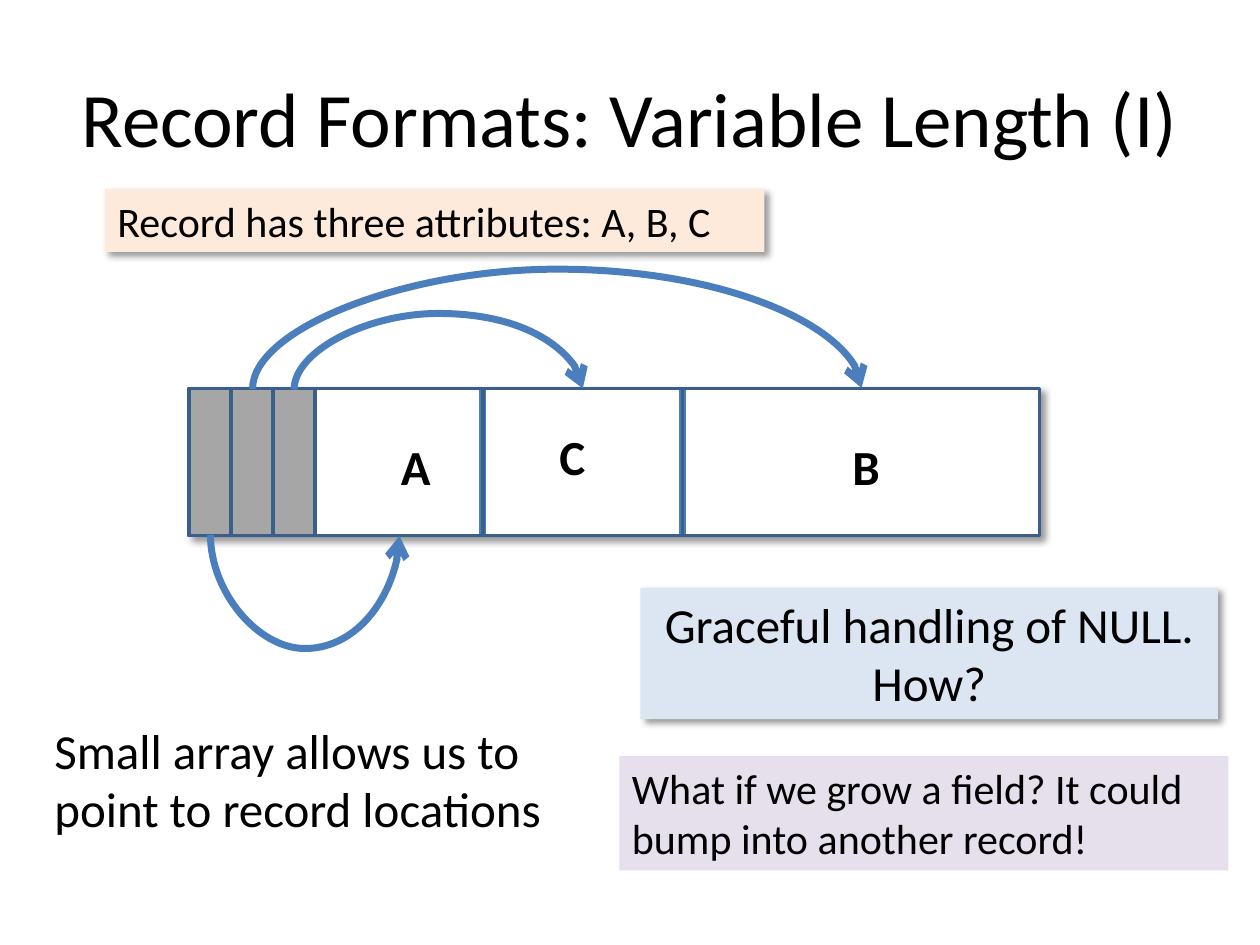
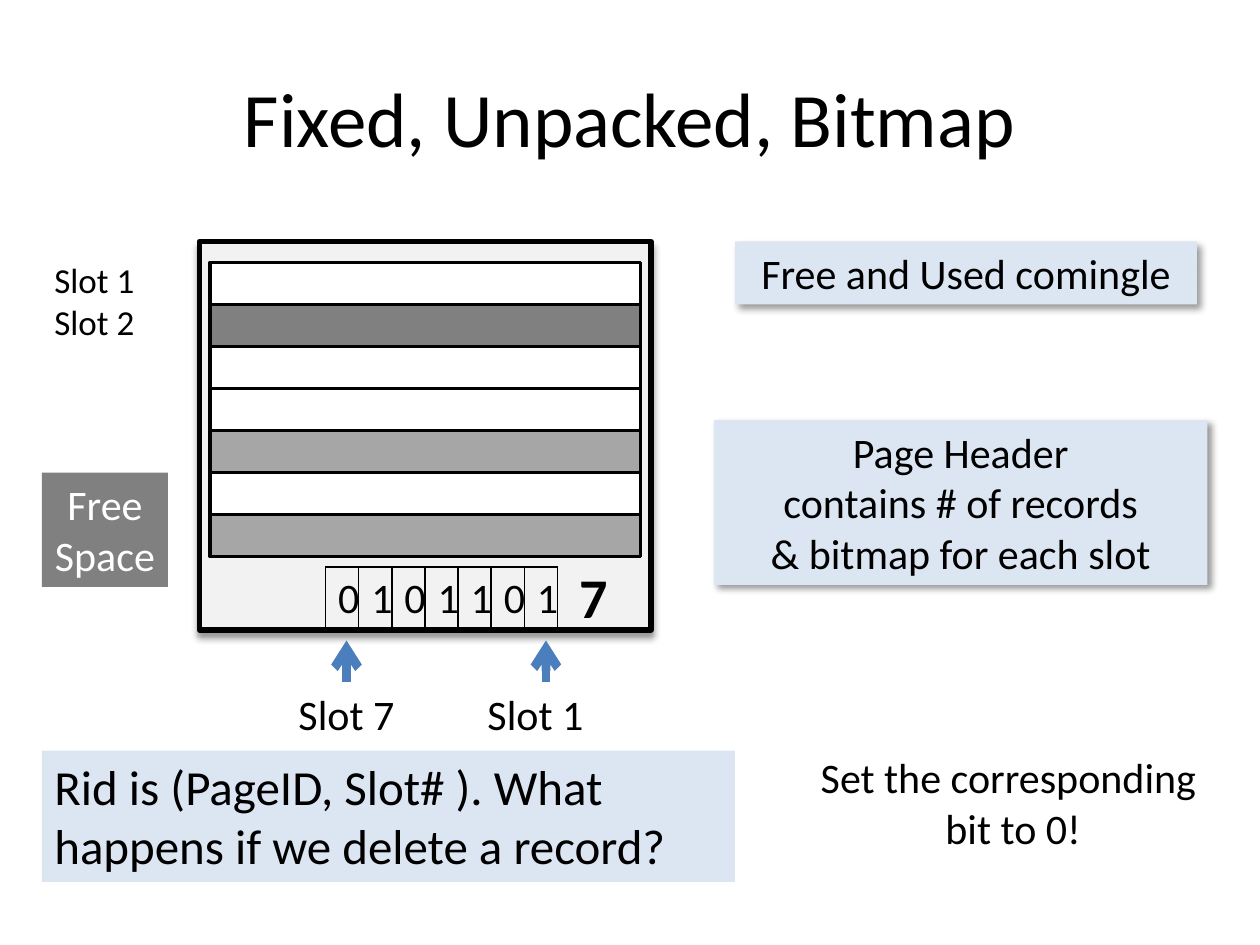
from dataclasses import dataclass
from itertools import accumulate

from lxml.etree import SubElement
from pptx import Presentation
from pptx.dml.color import RGBColor
from pptx.enum.shapes import MSO_CONNECTOR as Link, MSO_SHAPE as Kind
from pptx.enum.text import MSO_ANCHOR as Anchor, MSO_AUTO_SIZE as Fit, PP_ALIGN as Align
from pptx.oxml.ns import qn
from pptx.util import Emu, Pt

SCALE = 7620  # EMU in one px, 120 px to the inch


@dataclass(frozen=True)
class Theme:
    font: str = "Calibri"
    black: str = "000000"
    white: str = "FFFFFF"
    edge: str = "3A5F8C"
    blue: str = "4B7EBC"
    gray: str = "A6A6A6"
    dark: str = "808080"
    page: str = "F2F2F2"
    sky: str = "DCE6F2"
    peach: str = "FDEADA"
    lilac: str = "E6E0EC"
    title: int = 44
    digit: int = 32
    large: int = 28
    body: int = 24
    small: int = 20


T = Theme()


@dataclass(frozen=True)
class Box:
    x: int
    y: int
    w: int
    h: int


@dataclass(frozen=True)
class Note:
    text: str
    box: Box
    size: int = T.body
    fill: str | None = None
    ink: str = T.black
    bold: bool = False
    mid: bool = True
    cast: bool = False


@dataclass(frozen=True)
class Arc:
    start: int
    end: int
    y: int
    bulge: int
    down: bool = False


def px(n: int) -> Emu:
    return Emu(n * SCALE)


def area(box: Box) -> tuple:
    return px(box.x), px(box.y), px(box.w), px(box.h)


def rgb(code: str) -> RGBColor:
    return RGBColor.from_string(code)


# Text
def write(frame, text: str, *, size: int = T.body, ink: str = T.black,
          bold: bool = False, mid: bool = True, anchor=Anchor.TOP) -> None:
    frame.word_wrap = True
    frame.vertical_anchor = anchor
    for i, line in enumerate(text.split("\n")):
        para = frame.paragraphs[0] if i == 0 else frame.add_paragraph()
        para.alignment = Align.CENTER if mid else Align.LEFT
        run = para.add_run()
        run.text = line
        font = run.font
        font.name, font.size, font.bold = T.font, Pt(size), bold
        font.color.rgb = rgb(ink)


# Shapes
def rect(slide, box: Box, fill: str | None = None, line: str | None = None,
         width: int = 2, cast: int | None = None):
    shape = slide.shapes.add_shape(Kind.RECTANGLE, *area(box))
    shape.shadow.inherit = False
    if fill:
        shape.fill.solid()
        shape.fill.fore_color.rgb = rgb(fill)
    else:
        shape.fill.background()
    if line:
        shape.line.color.rgb = rgb(line)
        shape.line.width = Pt(width)
    else:
        shape.line.fill.background()
    if cast is not None:
        effects = shape.element.spPr.find(qn("a:effectLst"))
        outer = SubElement(effects, qn("a:outerShdw"), blurRad=str(Pt(4)),
                           dist=str(Pt(3)), dir=str(cast * 60000), rotWithShape="0")
        tint = SubElement(outer, qn("a:srgbClr"), val=T.black)
        SubElement(tint, qn("a:alpha"), val="40000")
    return shape


def note(slide, item: Note):
    if item.fill:
        shape = rect(slide, item.box, item.fill, cast=45 if item.cast else None)
    else:
        shape = slide.shapes.add_textbox(*area(item.box))
    write(shape.text_frame, item.text, size=item.size, ink=item.ink,
          bold=item.bold, mid=item.mid)
    shape.text_frame.auto_size = Fit.SHAPE_TO_FIT_TEXT
    return shape


def title(slide, text: str) -> None:
    shape = slide.shapes.add_textbox(*area(Box(60, 36, 1080, 150)))
    write(shape.text_frame, text, size=T.title, anchor=Anchor.MIDDLE)


# Lines
def wire(slide, kind, x1: int, y1: int, x2: int, y2: int,
         width: int = 4, arrow: bool = False):
    line = slide.shapes.add_connector(kind, px(x1), px(y1), px(x2), px(y2))
    line.line.color.rgb = rgb(T.blue)
    line.line.width = Pt(width)
    if arrow:
        SubElement(line.line._get_or_add_ln(), qn("a:tailEnd"), type="arrow")
    SubElement(line.element.spPr, qn("a:effectLst"))
    return line


def curve(slide, arc: Arc) -> None:
    line = wire(slide, Link.CURVE, arc.start, arc.y, arc.end, arc.y, arrow=True)
    # A one px wide curve, turned on its side, bulges by a multiple of its width
    span = arc.end - arc.start
    line.left, line.top = px((arc.start + arc.end) // 2), px(arc.y - span // 2)
    line.width, line.height = px(1), px(span)
    props = line.element.spPr
    frame = props.find(qn("a:xfrm"))
    frame.set("rot", str((270 if arc.down else 90) * 60000))
    frame.set("flipH", "1")
    if not arc.down:
        frame.set("flipV", "1")
    geom = props.find(qn("a:prstGeom"))
    guides = geom.find(qn("a:avLst"))
    if guides is None:
        guides = SubElement(geom, qn("a:avLst"))
    SubElement(guides, qn("a:gd"), name="adj1", fmla=f"val {arc.bulge * 100000}")


# Table
def bits(slide, box: Box, text: str) -> None:
    table = slide.shapes.add_table(1, len(text), *area(box)).table
    table.first_row = table.horz_banding = False
    for cell, bit in zip(table.iter_cells(), text):
        write(cell.text_frame, bit)
        cell.fill.background()
        props = cell._tc.get_or_add_tcPr()
        for i, side in enumerate("LRTB"):
            edge = SubElement(props, qn(f"a:ln{side}"), w=str(Pt(1)))
            paint = SubElement(edge, qn("a:solidFill"))
            SubElement(paint, qn("a:srgbClr"), val=T.black)
            props.insert(i, edge)


# Slide 1
def record(slide) -> None:
    title(slide, "Record Formats: Variable Length (I)")
    left, top, tall = 180, 370, 140
    widths = [40, 40, 40, 160, 190, 340]
    edges = list(accumulate(widths, initial=left))
    rect(slide, Box(left, top, sum(widths), tall), T.white, T.edge, cast=45)
    for x in edges[4:6]:
        wire(slide, Link.STRAIGHT, x, top, x, top + tall)
    for i, (x, w) in enumerate(zip(edges, widths)):
        rect(slide, Box(x, top, w, tall), T.gray if i < 3 else None, T.edge)
    for name, x, y in (("A", 370, 410), ("C", 520, 400), ("B", 800, 410)):
        note(slide, Note(name, Box(x, y, 50, 68), T.large, bold=True))

    mids = [x + w // 2 for x, w in zip(edges, widths)]
    for arc in (
        Arc(mids[0], mids[3], top + tall, 109, down=True),
        Arc(mids[1], mids[5], top, 115),
        Arc(mids[2], mids[4], top, 73),
    ):
        curve(slide, arc)

    for item in (
        Note("Record has three attributes: A, B, C", Box(100, 180, 628, 60),
             fill=T.peach, mid=False, cast=True),
        Note("Small array allows us to point to record locations",
             Box(40, 680, 550, 125), T.large, mid=False),
        Note("Graceful handling of NULL. How?", Box(610, 560, 550, 125),
             T.large, T.sky, cast=True),
        Note("What if we grow a field? It could bump into another record!",
             Box(590, 720, 580, 109), fill=T.lilac, mid=False),
    ):
        note(slide, item)


# Slide 2
def bitmap(slide) -> None:
    rect(slide, Box(190, 230, 430, 370), T.page, T.black, 3, cast=90)
    title(slide, "Fixed, Unpacked, Bitmap")
    fills = [T.white, T.dark, T.white, T.white, T.gray, T.white, T.gray]
    for i, fill in enumerate(fills):
        rect(slide, Box(200, 250 + 40 * i, 410, 40), fill, T.black)

    for item in (
        Note("7", Box(520, 530, 90, 77), T.digit, bold=True),
        Note("Page Header\ncontains # of records\n& bitmap for each slot",
             Box(680, 400, 470, 157), fill=T.sky, cast=True),
        Note("Slot 1", Box(40, 240, 130, 53), T.small, mid=False),
        Note("Slot 2", Box(40, 280, 130, 53), T.small, mid=False),
        Note("Free Space", Box(40, 450, 120, 109), fill=T.dark, ink=T.white),
        Note("Rid is (PageID, Slot# ). What happens if we delete a record?",
             Box(40, 715, 660, 125), T.large, T.sky, mid=False),
        Note("Set the corresponding \nbit to 0!", Box(730, 710, 470, 109)),
        Note("Free and Used comingle", Box(700, 230, 440, 60),
             fill=T.sky, cast=True),
    ):
        note(slide, item)
    bits(slide, Box(310, 540, 221, 50), "0101101")

    # Slot pointers
    for name, x, tip in (("Slot 7", 270, 330), ("Slot 1", 450, 520)):
        label = note(slide, Note(name, Box(x, 650, 120, 60)))
        line = wire(slide, Link.STRAIGHT, tip, 650, tip, 610, 5, arrow=True)
        if tip == x + 60:
            line.begin_connect(label, 0)


def main() -> None:
    deck = Presentation()
    deck.slide_width, deck.slide_height = px(1200), px(900)
    for draw in (record, bitmap):
        draw(deck.slides.add_slide(deck.slide_layouts[6]))
    deck.save("out.pptx")


if __name__ == "__main__":
    main()
